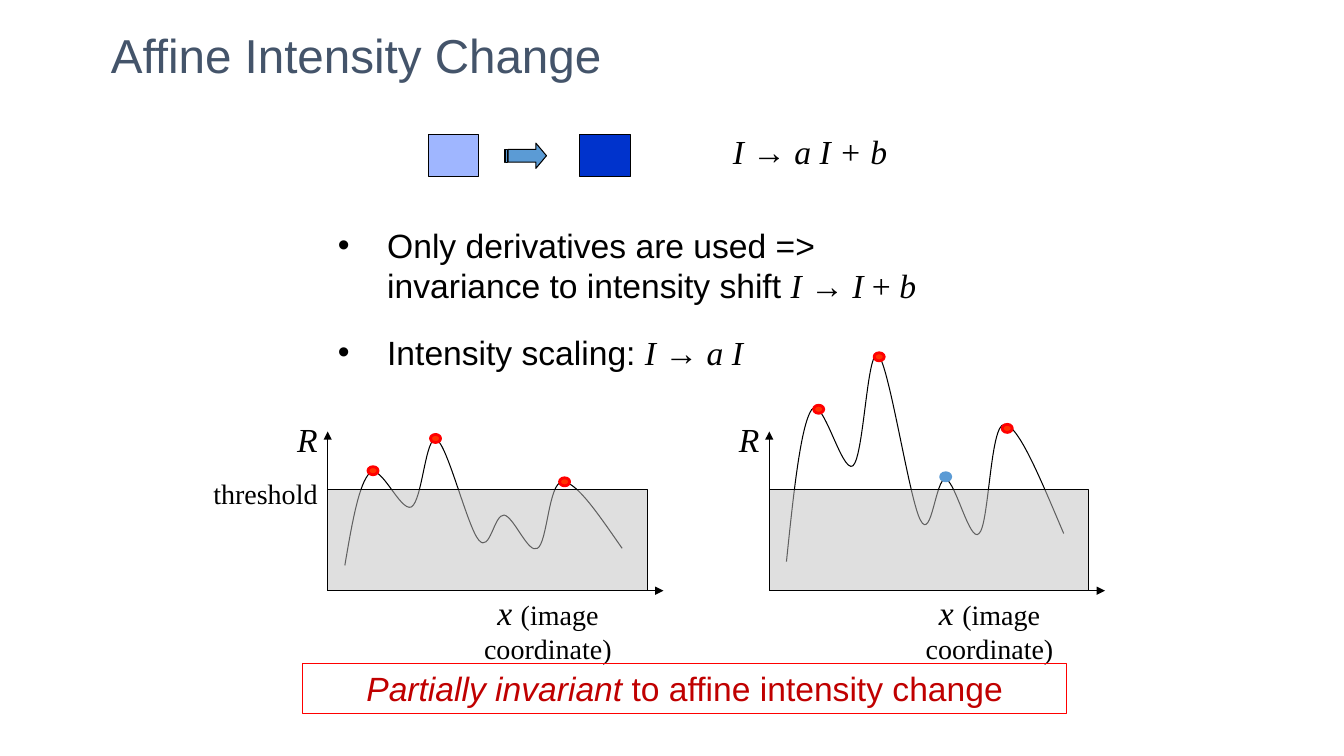
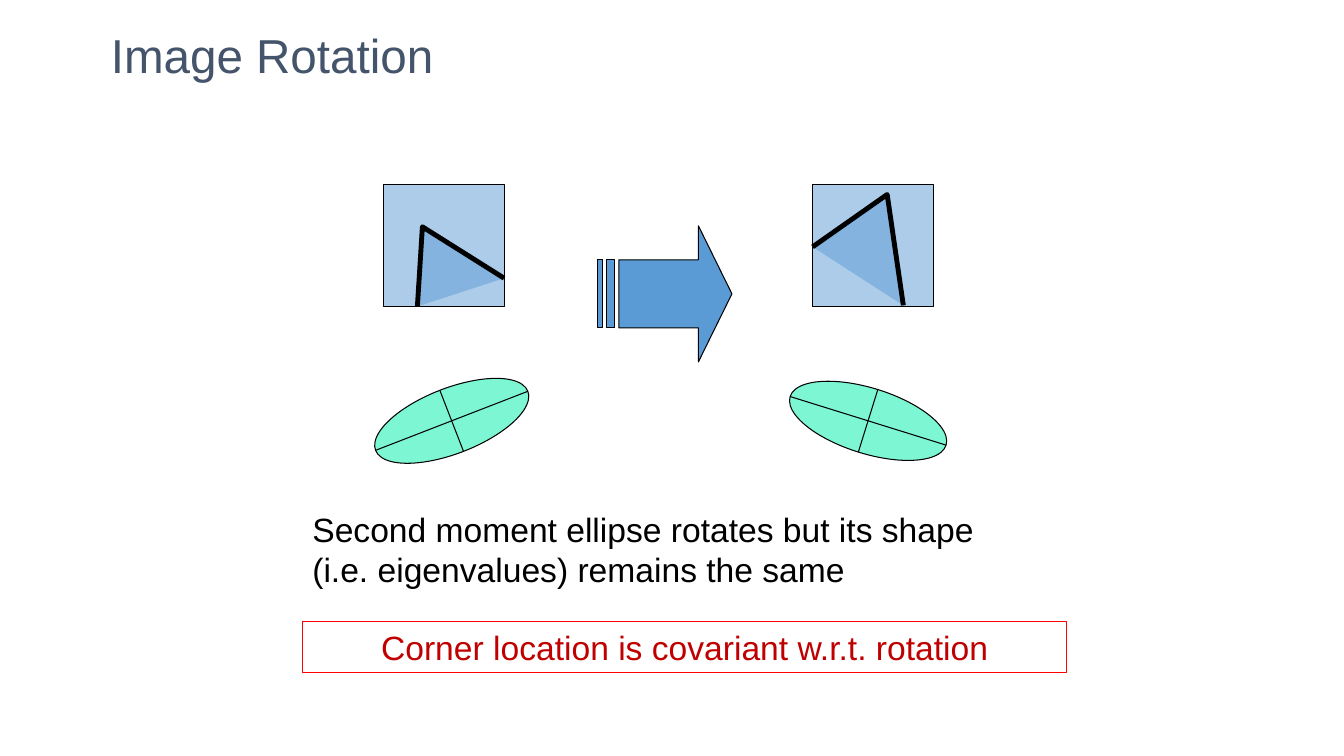
"""Build two slides on how corner detection responds to intensity change and rotation."""
from dataclasses import dataclass
from math import cos, radians, sin
from typing import Optional, Sequence

from pptx import Presentation
from pptx.dml.color import RGBColor
from pptx.enum.shapes import MSO_CONNECTOR, MSO_SHAPE as SHAPE
from pptx.enum.text import MSO_ANCHOR as ANCHOR, MSO_AUTO_SIZE, PP_ALIGN as ALIGN
from pptx.oxml.ns import qn
from pptx.oxml.xmlchemy import OxmlElement
from pptx.shapes.autoshape import Shape
from pptx.slide import Slide
from pptx.util import Inches, Pt

BLACK = RGBColor(0x00, 0x00, 0x00)
SLATE = RGBColor(0x44, 0x54, 0x6A)
BLUE = RGBColor(0x5B, 0x9B, 0xD5)
LIGHT_PATCH = RGBColor(0x9F, 0xB6, 0xFF)
DARK_PATCH = RGBColor(0x00, 0x33, 0xCC)
GREY = RGBColor(0xC0, 0xC0, 0xC0)
MINT = RGBColor(0x7C, 0xF6, 0xD3)
RED = RGBColor(0xFF, 0x00, 0x00)
ORANGE_RED = RGBColor(0xFF, 0x33, 0x00)
DARK_RED = RGBColor(0xC0, 0x00, 0x00)
SANS, SERIF = "Arial", "Times New Roman"
TITLE_ONLY, TITLE_AND_BODY = 5, 1
AXIS_Y, THRESHOLD_Y = 5.86, 4.86

Point = tuple[float, float]

RESPONSE: list[Point] = [
    (0, 1.3), (0.07, 0.89), (0.14, 0.48), (0.25, 0.38), (0.36, 0.29),
    (0.55, 0.77), (0.66, 0.72), (0.77, 0.66), (0.8, 0), (0.91, 0.05),
    (1.02, 0.11), (1.22, 0.93), (1.33, 1.05), (1.44, 1.18), (1.48, 0.79),
    (1.58, 0.8), (1.68, 0.82), (1.82, 1.19), (1.91, 1.13), (2.01, 1.08),
    (2.02, 0.47), (2.16, 0.47), (2.3, 0.47), (2.52, 0.8), (2.75, 1.13),
]


@dataclass(frozen=True)
class Run:
    """A stretch of text with its own font settings."""
    text: str
    font: str = SERIF
    italic: bool = False
    size: Optional[float] = None


@dataclass(frozen=True)
class Dot:
    """A peak marker."""
    x: float
    y: float
    fill: RGBColor = ORANGE_RED
    line: RGBColor = RED


@dataclass(frozen=True)
class Plot:
    """A response plot whose curve is stretched vertically by gain."""
    left: float
    curve_top: float
    gain: float
    dots: tuple[Dot, ...]


@dataclass(frozen=True)
class Corner:
    """An image patch with a corner and its second moment ellipse."""
    left: float
    outline: tuple[Point, ...]
    ellipse_left: float
    angle: float


PLOTS = (
    Plot(3.25, 4.31, 1, (Dot(3.65, 4.63), Dot(4.27, 4.31), Dot(5.55, 4.74))),
    Plot(7.63, 3.44, 1.64, (Dot(8.07, 4.02), Dot(8.67, 3.5),
                            Dot(9.33, 4.69, BLUE, BLUE), Dot(9.94, 4.21))),
)
CORNERS = (
    Corner(3.8, ((4.14, 3.04), (4.19, 2.25), (5, 2.76)), 3.67, -21.2),
    Corner(8.06, ((8.06, 2.45), (8.8, 1.93), (8.96, 3.03)), 7.8, 17.3),
)
BULLETS = (
    (Run("Only derivatives are used => invariance to intensity shift ", SANS),
     Run("I ", italic=True), Run("→ "), Run("I ", italic=True), Run("+ "),
     Run("b", italic=True)),
    (Run("Intensity scaling: ", SANS), Run("I ", italic=True), Run("→ "),
     Run("a I", italic=True)),
)


def place(s: Shape, x: float, y: float, w: float, h: float) -> None:
    """Move and size a shape in inches."""
    s.left, s.top, s.width, s.height = Inches(x), Inches(y), Inches(w), Inches(h)


def write(p, runs: Sequence[Run], size: float = 24, color: RGBColor = BLACK) -> None:
    """Fill a paragraph, keeping shared font settings on the paragraph."""
    p.font.size, p.font.color.rgb = Pt(size), color
    fonts = {run.font for run in runs}
    if len(fonts) == 1:
        p.font.name = fonts.pop()
    for run in runs:
        r = p.add_run()
        r.text = run.text
        if p.font.name is None:
            r.font.name = run.font
        if run.italic:
            r.font.italic = True
        if run.size:
            r.font.size = Pt(run.size)


def add_text(slide: Slide, box: tuple[float, float, float, float], runs: Sequence[Run],
             size: float = 24, color: RGBColor = BLACK, align: ALIGN = ALIGN.CENTER,
             wrap: bool = False) -> Shape:
    """Add a text box with one paragraph."""
    s = slide.shapes.add_textbox(*map(Inches, box))
    s.text_frame.word_wrap = wrap
    p = s.text_frame.paragraphs[0]
    p.alignment = align
    write(p, runs, size, color)
    return s


def style(s: Shape, fill: Optional[RGBColor], line: RGBColor = BLACK,
          width: float = 0.75, opacity: int = 100) -> Shape:
    """Set the fill, outline and opacity of a shape."""
    s.shadow.inherit = False
    s.line.color.rgb, s.line.width = line, Pt(width)
    if fill is None:
        s.fill.background()
        return s
    s.fill.solid()
    s.fill.fore_color.rgb = fill
    if opacity < 100:
        alpha = OxmlElement("a:alpha")
        alpha.set("val", str(opacity * 1000))
        s._element.spPr.find(qn("a:solidFill"))[0].append(alpha)
    return s


def add_preset(slide: Slide, kind: SHAPE, x: float, y: float, w: float, h: float) -> Shape:
    """Add a preset shape in inches."""
    return slide.shapes.add_shape(kind, *map(Inches, (x, y, w, h)))


def add_outline(slide: Slide, points: Sequence[Point]) -> Shape:
    """Add an open freeform through points."""
    start, *rest = [(Inches(x), Inches(y)) for x, y in points]
    builder = slide.shapes.build_freeform(*start)
    builder.add_line_segments(rest, close=False)
    return builder.convert_to_shape()


def add_curve(slide: Slide, points: Sequence[Point]) -> Shape:
    """Add an open freeform of cubic segments given by control points."""
    s = add_outline(slide, points)
    lines = list(s._element.iter(qn("a:lnTo")))
    for i in range(0, len(lines), 3):
        cubic = OxmlElement("a:cubicBezTo")
        lines[i].addprevious(cubic)
        for line in lines[i:i + 3]:
            cubic.append(line[0])
            line.getparent().remove(line)
    return s


def add_line(slide: Slide, start: Point, end: Point, arrow: bool = False) -> None:
    """Add a thin black line, with an arrowhead at its end if asked."""
    c = slide.shapes.add_connector(MSO_CONNECTOR.STRAIGHT, *map(Inches, start + end))
    c.line.color.rgb, c.line.width = BLACK, Pt(0.75)
    if arrow:
        tail = OxmlElement("a:tailEnd")
        tail.set("type", "triangle")
        c.line._get_or_add_ln().append(tail)
    c._element.spPr.append(OxmlElement("a:effectLst"))


def add_striped_arrow(slide: Slide, x: float, y: float, w: float, h: float,
                      head: float) -> None:
    """Add a striped arrow whose head length is a share of its height."""
    s = style(add_preset(slide, SHAPE.STRIPED_RIGHT_ARROW, x, y, w, h), BLUE)
    s.adjustments[0], s.adjustments[1] = 0.5, head


def add_slide(prs: Presentation, layout: int, title: str) -> Slide:
    """Add a slide with the shared title style."""
    slide = prs.slides.add_slide(prs.slide_layouts[layout])
    s = slide.shapes.title
    place(s, 1, 0.08, 11.33, 0.92)
    tf = s.text_frame
    tf.auto_size, tf.vertical_anchor = MSO_AUTO_SIZE.NONE, ANCHOR.MIDDLE
    p = tf.paragraphs[0]
    p.alignment = ALIGN.LEFT
    write(p, [Run(title, SANS)], 34, SLATE)
    return slide


def add_conclusion(slide: Slide, y: float, runs: Sequence[Run]) -> None:
    """Add the red framed conclusion."""
    s = add_text(slide, (3, y, 7.58, 0.5), runs, color=DARK_RED, wrap=True)
    s.text_frame.vertical_anchor = ANCHOR.MIDDLE
    s.line.color.rgb, s.line.width = RED, Pt(0.75)


def add_bullets(slide: Slide) -> None:
    """Fill the body placeholder with the bullet list."""
    s = slide.placeholders[1]
    place(s, 3.25, 2.18, 6.08, 1.6)
    tf = s.text_frame
    tf.auto_size, tf.vertical_anchor = MSO_AUTO_SIZE.NONE, ANCHOR.TOP
    for i, runs in enumerate(BULLETS):
        p = tf.add_paragraph() if i else tf.paragraphs[0]
        p.space_before = Pt(19 if i else 0)
        pPr = p._p.get_or_add_pPr()
        pPr.set("marL", str(Inches(0.49)))
        pPr.set("indent", str(-Inches(0.49)))
        write(p, runs)


def add_plot(slide: Slide, plot: Plot) -> None:
    """Draw one response plot with axes, threshold band and peaks."""
    x = plot.left
    curve = [(x + 0.17 + dx, plot.curve_top + plot.gain * dy) for dx, dy in RESPONSE]
    style(add_curve(slide, curve), None)
    for end in ((x + 3.33, AXIS_Y), (x, 4.28)):
        add_line(slide, (x, AXIS_Y), end, arrow=True)
    add_text(slide, (x - 0.4, 4.11, 0.4, 0.5), [Run("R", italic=True)])
    add_text(slide, (x + 1.32, 5.82, 1.73, 0.85),
             [Run("x ", italic=True), Run("(image coordinate)", size=20)], wrap=True)
    band = add_preset(slide, SHAPE.RECTANGLE, x, THRESHOLD_Y, 3.17, AXIS_Y - THRESHOLD_Y)
    style(band, GREY, opacity=50)
    for dot in plot.dots:
        style(add_preset(slide, SHAPE.OVAL, dot.x, dot.y, 0.1, 0.08), dot.fill, dot.line, 2)


def add_corner(slide: Slide, corner: Corner) -> None:
    """Draw a patch, its corner and the ellipse with both axes."""
    style(add_preset(slide, SHAPE.RECTANGLE, corner.left, 1.83, 1.2, 1.21), BLUE, opacity=50)
    style(add_outline(slide, corner.outline), BLUE, width=3.5, opacity=50)
    w, h, top = 1.62, 0.65, 3.85
    s = style(add_preset(slide, SHAPE.OVAL, corner.ellipse_left, top, w, h), MINT)
    s.rotation = corner.angle
    cx, cy = corner.ellipse_left + w / 2, top + h / 2
    for half, angle in ((w / 2, corner.angle), (h / 2, corner.angle + 90)):
        dx, dy = half * cos(radians(angle)), half * sin(radians(angle))
        add_line(slide, (cx - dx, cy - dy), (cx + dx, cy + dy))


def build_intensity(prs: Presentation) -> None:
    """Build the slide on affine intensity change."""
    slide = add_slide(prs, TITLE_AND_BODY, "Affine Intensity Change")
    add_bullets(slide)
    for plot in PLOTS:
        add_plot(slide, plot)
    add_text(slide, (1.75, 4.68, 1.5, 0.43), [Run("threshold")], size=20, align=ALIGN.RIGHT)
    add_conclusion(slide, 6.58, [Run("Partially invariant ", SANS, italic=True),
                                 Run("to affine intensity change", SANS)])
    add_text(slide, (7.17, 1.25, 2.02, 0.57),
             [Run("I ", italic=True), Run("→ "), Run("a I + b", italic=True)],
             align=ALIGN.LEFT)
    for x, color in ((4.25, LIGHT_PATCH), (5.75, DARK_PATCH)):
        style(add_preset(slide, SHAPE.RECTANGLE, x, 1.33, 0.5, 0.42), color)
    add_striped_arrow(slide, 5, 1.42, 0.42, 0.25, 0.42)


def build_rotation(prs: Presentation) -> None:
    """Build the slide on image rotation."""
    slide = add_slide(prs, TITLE_ONLY, "Image Rotation")
    add_text(slide, (3, 5, 7.2, 0.91),
             [Run("Second moment ellipse rotates but its shape "
                  "(i.e. eigenvalues) remains the same", SANS)],
             align=ALIGN.LEFT, wrap=True)
    for corner in CORNERS:
        add_corner(slide, corner)
    add_striped_arrow(slide, 5.93, 2.24, 1.33, 1.35, 0.25)
    add_conclusion(slide, 6.17, [Run("Corner location is covariant w.r.t. rotation", SANS)])


def main() -> None:
    """Build and save the presentation."""
    prs = Presentation()
    prs.slide_width, prs.slide_height = Inches(13.33), Inches(7.5)
    build_intensity(prs)
    build_rotation(prs)
    prs.save("out.pptx")


if __name__ == "__main__":
    main()
